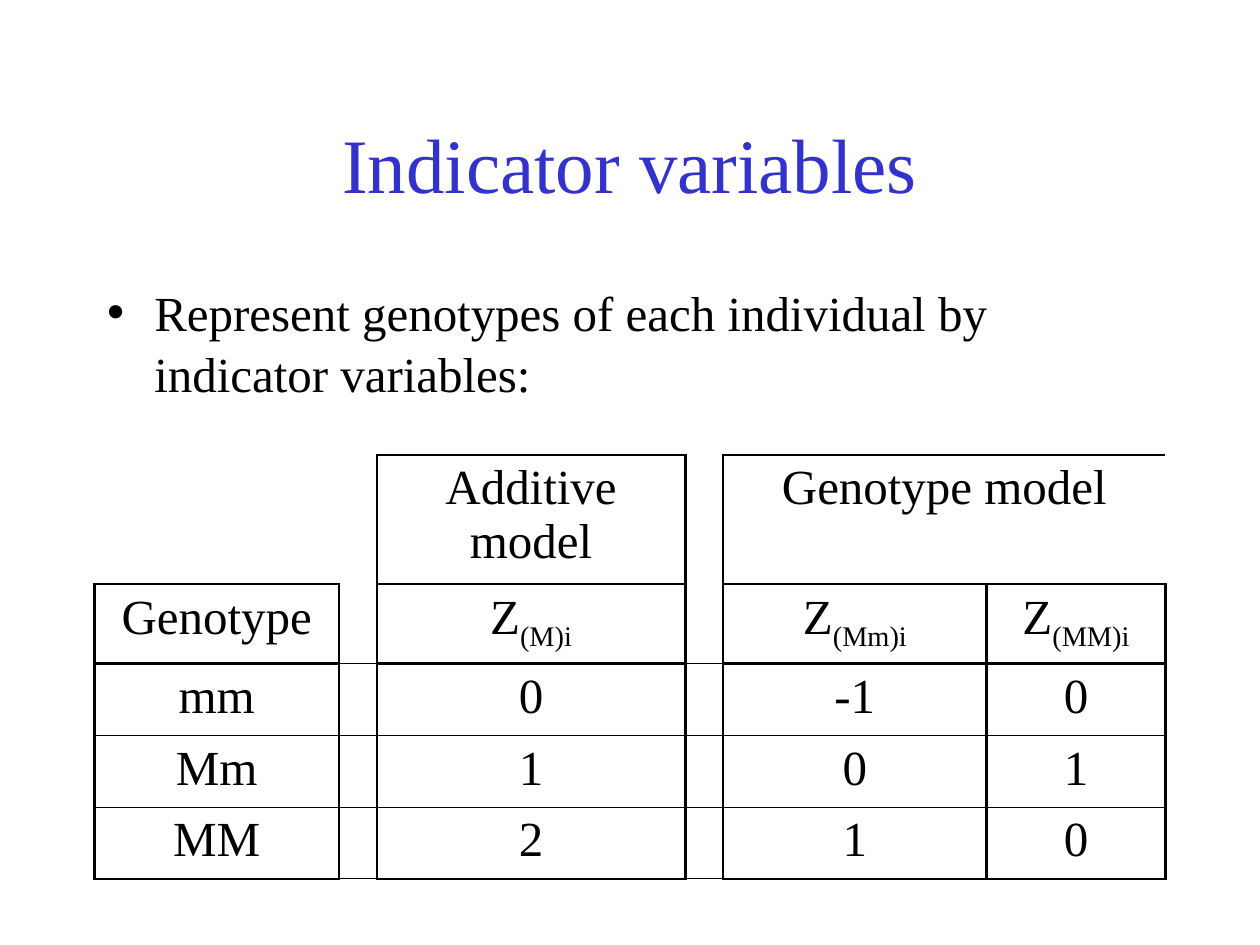
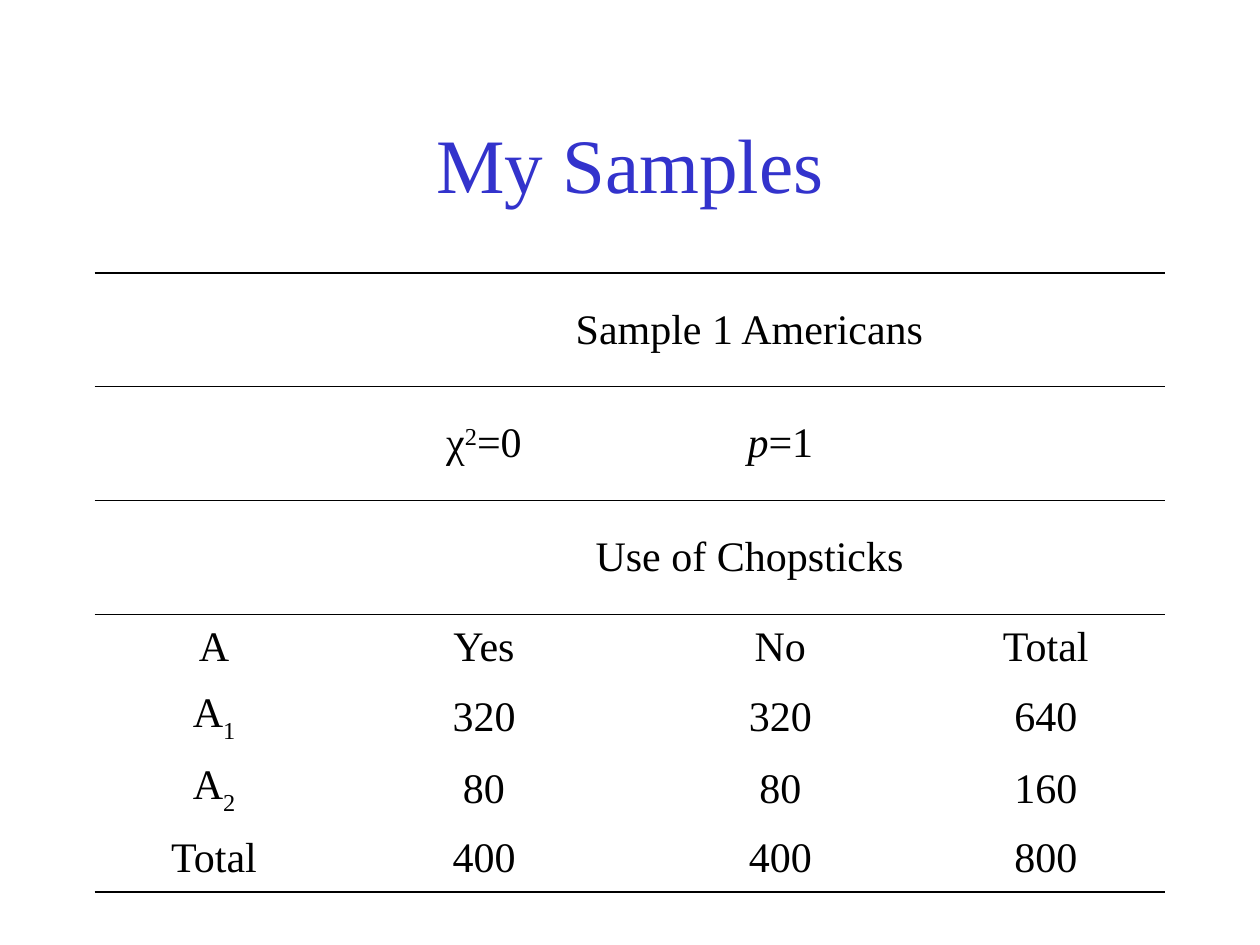
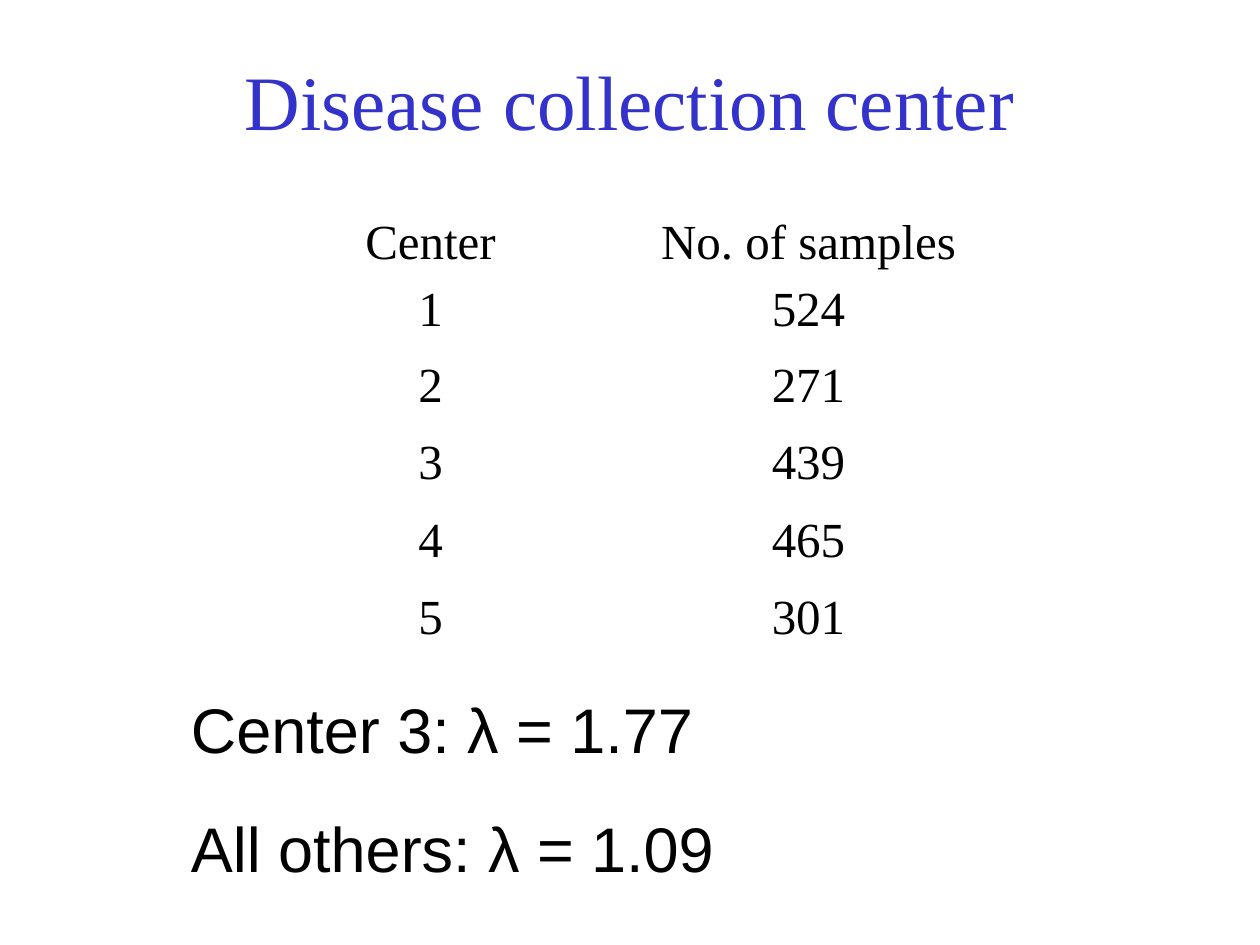
from dataclasses import dataclass

from lxml.etree import SubElement
from pptx import Presentation
from pptx.dml.color import RGBColor
from pptx.enum.text import MSO_ANCHOR as Anchor, MSO_AUTO_SIZE as Fit, PP_ALIGN as Align
from pptx.oxml.ns import qn
from pptx.util import Inches, Pt


@dataclass(frozen=True)
class Theme:
    serif: str = "Times New Roman"
    sans: str = "Arial"
    title: RGBColor = RGBColor(0x33, 0x33, 0xCC)
    ink: RGBColor = RGBColor(0, 0, 0)
    head: int = 44
    note: int = 36
    body: int = 28
    small: int = 24
    thick: float = 1.47
    mid: float = 0.96
    thin: float = 0.45
    lead: float = 1.05


T = Theme()
UNIT = Inches(1 / 12)  # the slide is a grid of 120 columns by 90 rows
COLS, ROWS = 120, 90
PLAIN = "{2D5ABB26-0587-4C30-8999-92F81FD0307C}"  # table style with no grid
SIDES = {"L": (0, -1, "R"), "R": (0, 1, "L"), "T": (-1, 0, "B"), "B": (1, 0, "T")}


def place(box):
    """Turn a box in grid units into lengths."""
    return [round(n * UNIT) for n in box]


def style(para, size, font=T.serif, color=T.ink, align=Align.CENTER):
    para.alignment = align
    for run in para.runs:
        run.font.size, run.font.name = Pt(size), font
        run.font.color.rgb = color


def fill(holder, box, text):
    """Move a placeholder and set its text."""
    holder.left, holder.top, holder.width, holder.height = place(box)
    frame = holder.text_frame
    frame.text = text
    frame.auto_size = Fit.NONE
    return frame


def start(prs, layout, title, top=8):
    """Add a slide with the shared title."""
    slide = prs.slides.add_slide(prs.slide_layouts[layout])
    frame = fill(slide.shapes.title, (9, top, 102, 15), title)
    frame.vertical_anchor = Anchor.MIDDLE
    style(frame.paragraphs[0], T.head, color=T.title)
    return slide


def write(cell, text, size, base):
    """Fill a cell; "|" parts runs, "_" lowers, "^" raises, "/" slants."""
    frame = cell.text_frame
    for i, line in enumerate(text.split("\n")):
        para = frame.add_paragraph() if i else frame.paragraphs[0]
        if i:
            para.space_before = Pt(7)
        for part in line.split("|"):
            run = para.add_run()
            run.text = part.lstrip("_^/")
            if part[0] in "_^":
                shift = base if part[0] == "^" else -base
                run._r.get_or_add_rPr().set("baseline", str(shift * 1000))
            elif part[0] == "/":
                run.font.italic = True
        style(para, size)


def edge(lines, row, col, side, width):
    """Note a border on a cell and on the cell that shares it."""
    down, right, other = SIDES[side]
    lines[row, col, side] = lines[row + down, col + right, other] = width


def frame_in(lines, top, left, bottom, right, width):
    """Note the outline of a block of cells."""
    for row in range(top, bottom + 1):
        edge(lines, row, left, "L", width)
        edge(lines, row, right, "R", width)
    for col in range(left, right + 1):
        edge(lines, top, col, "T", width)
        edge(lines, bottom, col, "B", width)


def draw(cell, row, col, lines):
    props = cell._tc.get_or_add_tcPr()
    for side in SIDES:
        width = lines.get((row, col, side))
        if width:
            line = SubElement(props, qn(f"a:ln{side}"), w=str(Pt(width)))
            paint = SubElement(line, qn("a:solidFill"))
            SubElement(paint, qn("a:srgbClr"), val=str(T.ink))


def grid(slide, box, cols, rows, data, size, lines=None, spans=(),
         anchor=Anchor.TOP, base=30):
    """Add a table whose columns and rows share the box by weight."""
    left, top, width, height = place(box)
    shape = slide.shapes.add_table(len(rows), len(cols), left, top, width, height)
    table = shape.table
    table.first_row = table.horz_banding = False
    table._tbl.tblPr.find(qn("a:tableStyleId")).text = PLAIN
    for col, part in zip(table.columns, cols):
        col.width = round(width * part / sum(cols))
    for row, part in zip(table.rows, rows):
        row.height = round(height * part / sum(rows))
    for row, first, last in spans:
        table.cell(row, first).merge(table.cell(row, last))
    for r, texts in enumerate(data):
        for c, text in enumerate(texts):
            cell = table.cell(r, c)
            draw(cell, r, c, lines or {})
            cell.fill.background()
            cell.vertical_anchor = anchor
            if text:
                write(cell, text, size, base)


def models(prs):
    slide = start(prs, 1, "Indicator variables")
    frame = fill(slide.placeholders[1], (9, 26, 102, 26),
                 "Represent genotypes of each individual by indicator variables:")
    para = frame.paragraphs[0]
    para.space_before, para.line_spacing = Pt(0), T.lead
    style(para, T.body, align=Align.LEFT)

    # Thin rules across the genotype rows, then thick blocks over them
    lines = {}
    for row in range(2, 5):
        for col in range(6):
            edge(lines, row, col, "T", T.thin)
            edge(lines, row, col, "B", T.thin)
    for left, right in ((0, 0), (2, 2), (4, 5)):
        for top, bottom in ((0, 0), (1, 1), (2, 4)):
            if left or top:
                frame_in(lines, top, left, bottom, right, T.thick)
    data = [
        ["", "", "Additive model", "", "Genotype model", ""],
        ["Genotype", "", "Z|_(M)i", "", "Z|_(Mm)i", "Z|_(MM)i"],
        ["mm", "", "0", "", "-1", "0"],
        ["Mm", "", "1", "", "0", "1"],
        ["MM", "", "2", "", "1", "0"],
    ]
    grid(slide, (9, 43.3, 102, 40.4), [1.94, 0.3, 2.45, 0.3, 2.09, 1.42],
         [1.03, 0.63, 0.57, 0.57, 0.57], data, T.body, lines, [(0, 4, 5)], base=25)


def samples(prs):
    slide = start(prs, 5, "My Samples")
    lines = {}
    for col in range(4):
        edge(lines, 0, col, "T", T.mid)
        edge(lines, 0, col, "B", T.thin)
        edge(lines, 1, col, "B", T.thin)
        edge(lines, 6, col, "B", T.mid)
    data = [
        ["", "Sample 1 Americans", "", ""],
        ["", "χ|^2|=0", "/p|=1", ""],
        ["", "Use of Chopsticks", "", ""],
        ["A", "Yes", "No", "Total"],
        ["A|_1", "320", "320", "640"],
        ["A|_2", "80", "80", "160"],
        ["Total", "400", "400", "800"],
    ]
    grid(slide, (9, 26, 102, 59), [1.9, 2.39, 2.32, 1.9],
         [0.9, 0.9, 0.9, 0.53, 0.57, 0.57, 0.53], data, T.small, lines,
         [(0, 1, 3), (2, 1, 3)], Anchor.MIDDLE)


def centers(prs):
    slide = start(prs, 5, "Disease collection center", top=2)

    # Findings under the table
    note = slide.shapes.add_textbox(*place((17, 64.8, 96, 19.4))).text_frame
    note.word_wrap = True
    note.text = "Center 3: λ = 1.77\nAll others: λ = 1.09"
    for para in note.paragraphs:
        para.line_spacing = T.lead
        style(para, T.note, T.sans, align=Align.LEFT)
    note.paragraphs[1].space_before = Pt(22.5)

    data = [["Center\n1", "No. of samples\n524"], ["2", "271"], ["3", "439"],
            ["4", "465"], ["5", "301"]]
    grid(slide, (23, 20, 72, 43), [1, 1], [1.13] + [0.61] * 4, data, T.body)


def main():
    prs = Presentation()
    prs.slide_width, prs.slide_height = COLS * UNIT, ROWS * UNIT
    for build in (models, samples, centers):
        build(prs)
    prs.save("out.pptx")


if __name__ == "__main__":
    main()
